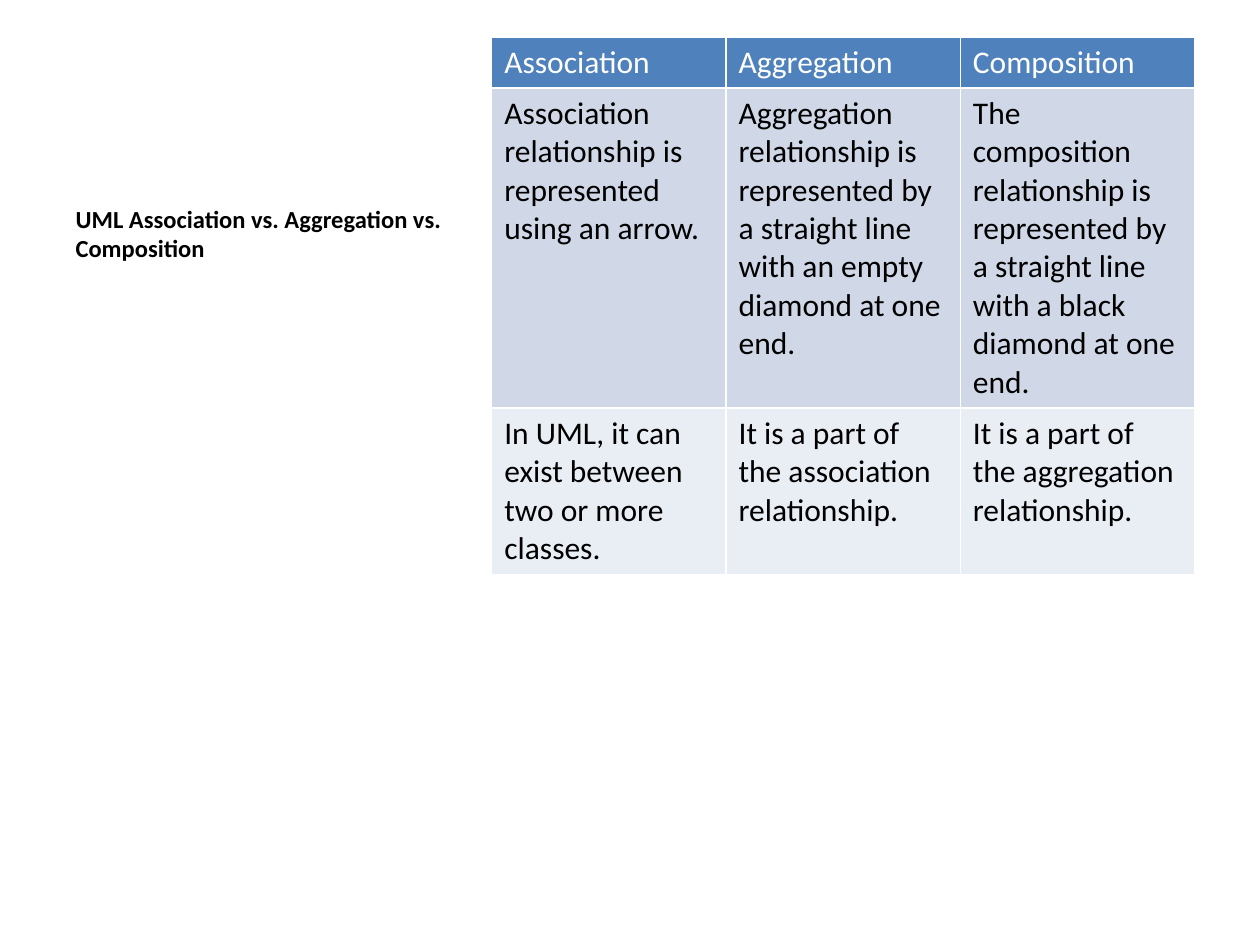
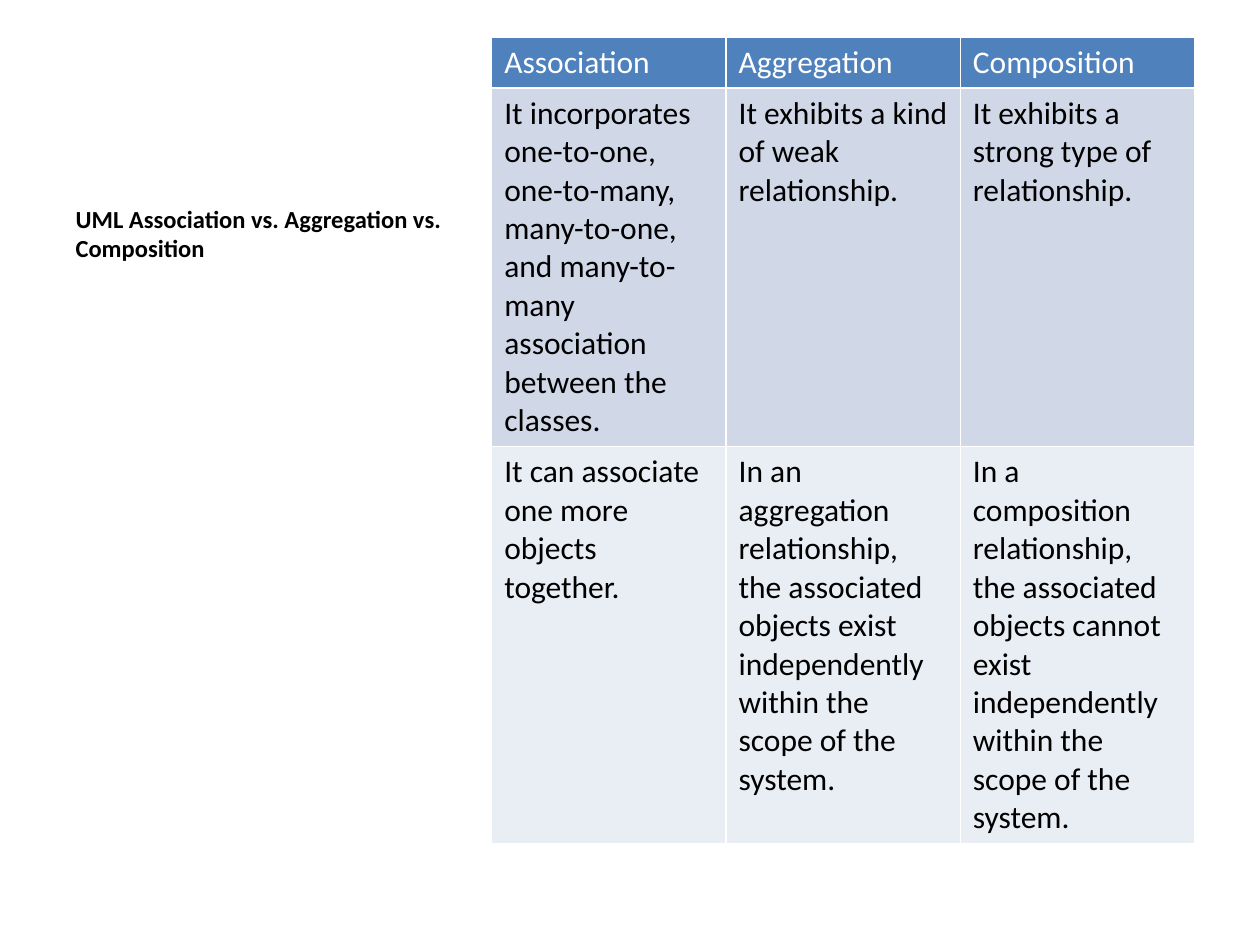
from pptx import Presentation
from pptx.dml.color import RGBColor as Rgb
from pptx.util import Pt

TITLE = "UML Association vs. Aggregation vs. Composition"
HEADS = ("Association", "Aggregation", "Composition")
PAGES = [
    {
        "rows": [
            ("Association relationship is represented using an arrow.",
             "Aggregation relationship is represented by a straight line "
             "with an empty diamond at one end.",
             "The composition relationship is represented by a straight line "
             "with a black diamond at one end."),
            ("In UML, it can exist between two or more classes.",
             "It is a part of the association relationship.",
             "It is a part of the aggregation relationship."),
        ],
        "highs": (29, 183, 95),
    },
    {
        "rows": [
            ("It incorporates one-to-one, one-to-many, many-to-one, "
             "and many-to-many association between the classes.",
             "It exhibits a kind of weak relationship.",
             "It exhibits a strong type of relationship."),
            ("It can associate one more objects together.",
             "In an aggregation relationship, the associated objects exist "
             "independently within the scope of the system.",
             "In a composition relationship, the associated objects cannot "
             "exist independently within the scope of the system."),
        ],
        "highs": (29, 205, 227),
    },
]

FONT = "Calibri"
BLACK, WHITE = "000000", "FFFFFF"
FILLS = ("4F81BD", "D0D8E8", "E9EDF4")
SIDE = (36, 113, 237, 369.5)
LEFT, TOP, WIDE = 281, 21, 133.9


def tint(code):
    """Turn a hex string into a colour."""
    return Rgb.from_string(code)


def style(para, size, color, bold=False):
    """Format every run of a paragraph."""
    for run in para.runs:
        font = run.font
        font.name, font.size, font.bold = FONT, Pt(size), bold
        font.color.rgb = tint(color)


def add_side(slide):
    """Fill the caption beside the table and drop the unused holders."""
    for hold in list(slide.placeholders):
        if hold.placeholder_format.idx != 2:
            hold.element.getparent().remove(hold.element)
            continue
        hold.left, hold.top, hold.width, hold.height = map(Pt, SIDE)
        hold.text_frame.text = TITLE
        para = hold.text_frame.paragraphs[0]
        para.space_before = Pt(0)
        style(para, 14, BLACK, True)


def add_grid(slide, rows, highs):
    """Draw the comparison table under the shared heads."""
    data = [HEADS, *rows]
    grid = slide.shapes.add_table(
        len(data), len(HEADS), Pt(LEFT), Pt(TOP),
        Pt(WIDE * len(HEADS)), Pt(sum(highs))).table
    for col in grid.columns:
        col.width = Pt(WIDE)
    for r, (texts, high, fill) in enumerate(zip(data, highs, FILLS)):
        grid.rows[r].height = Pt(high)
        for c, text in enumerate(texts):
            cell = grid.cell(r, c)
            cell.fill.solid()
            cell.fill.fore_color.rgb = tint(fill)
            cell.text_frame.text = text
            style(cell.text_frame.paragraphs[0], 18, BLACK if r else WHITE)


def main():
    """Build and save the slides."""
    deck = Presentation()
    deck.slide_width, deck.slide_height = Pt(720), Pt(540)
    for page in PAGES:
        slide = deck.slides.add_slide(deck.slide_layouts[7])
        add_side(slide)
        add_grid(slide, **page)
    deck.save("out.pptx")


if __name__ == "__main__":
    main()
